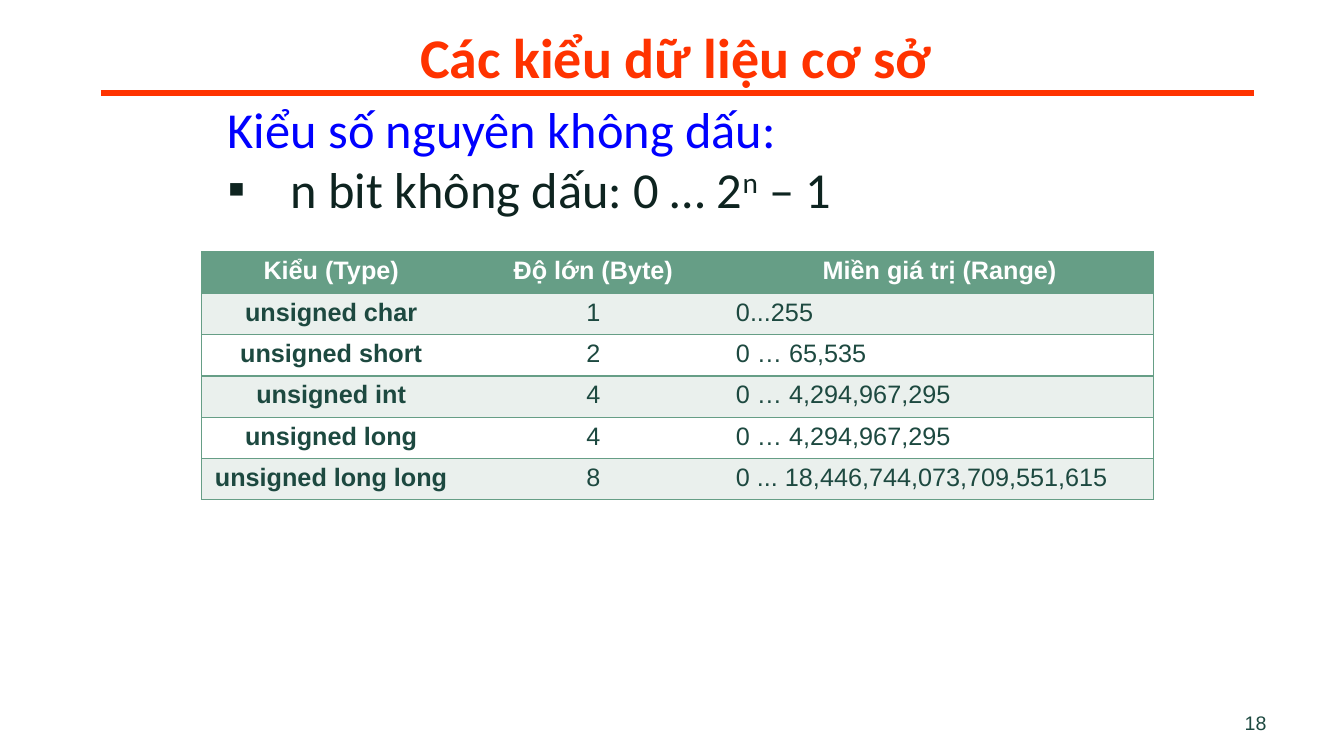
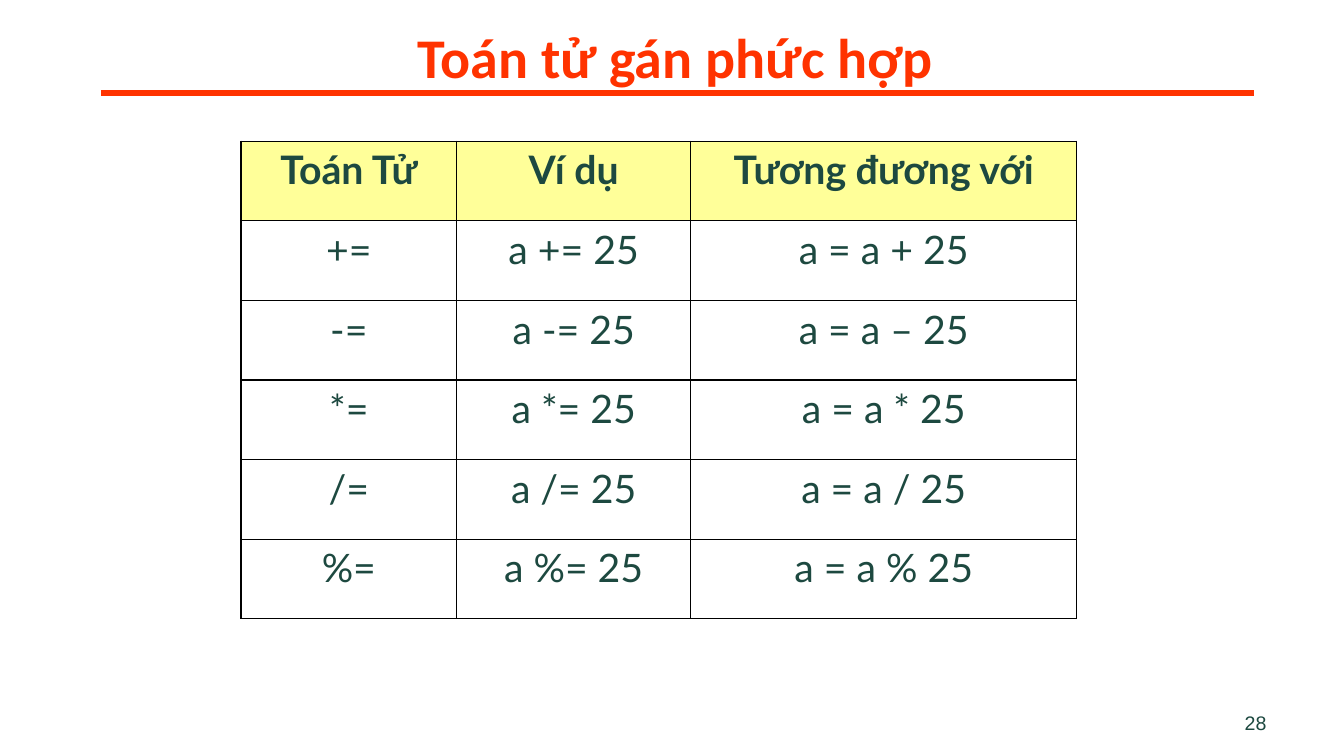
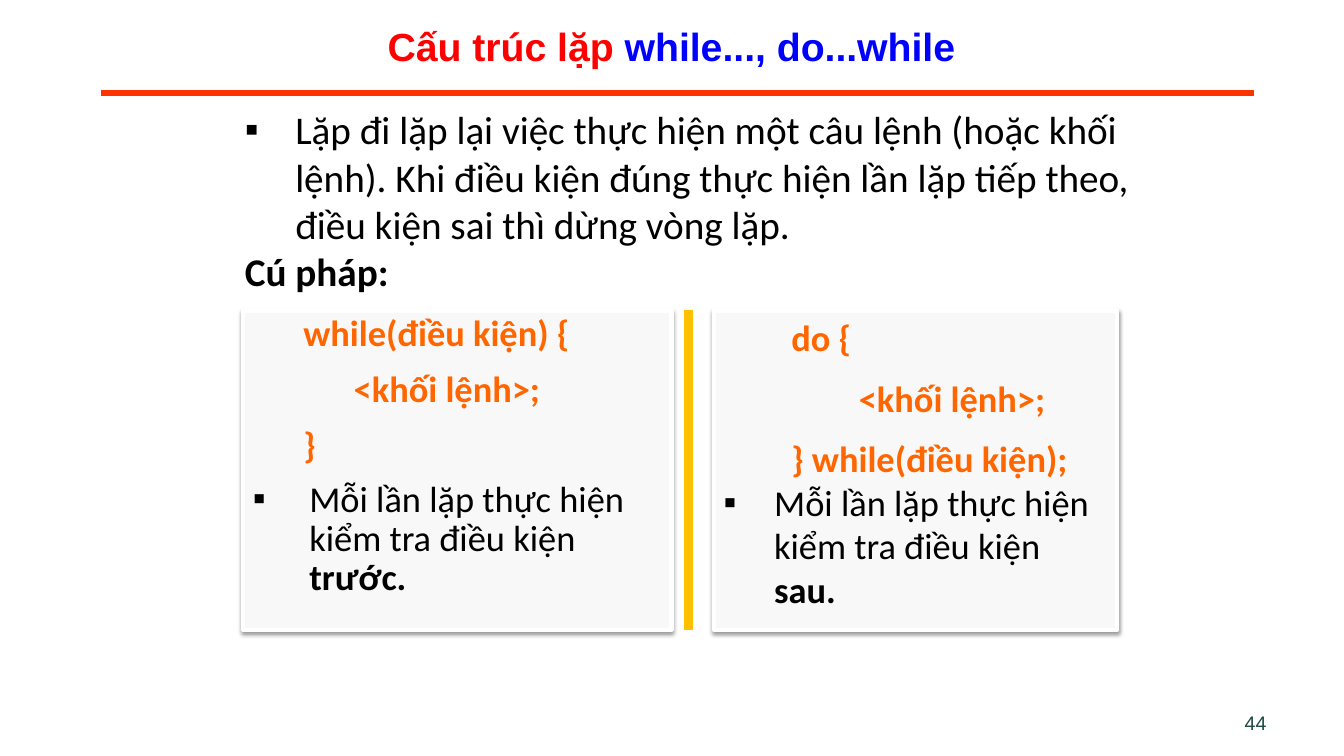
from lxml.etree import SubElement
from pptx import Presentation
from pptx.dml.color import RGBColor
from pptx.enum.shapes import MSO_CONNECTOR, MSO_SHAPE
from pptx.enum.text import MSO_ANCHOR as ANCHOR, PP_ALIGN as ALIGN
from pptx.oxml.ns import qn
from pptx.util import Inches, Pt

W, H = 13.33, 7.5
RULE, TITLE_RED, BLUE = "FF3300", "FF0000", "0000FF"
WHITE, BLACK, INK, DARK = "FFFFFF", "000000", "1D4940", "0E2420"
GREEN, PALE_GREEN, YELLOW = "669E86", "EAF0ED", "FFFF99"
ORANGE, GOLD, PANEL = "FF6600", "FFC000", "F8F8F8"


def rgb(color):
    return RGBColor.from_string(color)


def sub(parent, tag, **attrs):
    return SubElement(parent, qn(tag), {k: str(v) for k, v in attrs.items()})


def inches(box):
    return [Inches(v) for v in box]


def write(p, runs, size, font, align=ALIGN.LEFT, left=0, hang=0, bullet=False,
          spacing=None, before=0):
    """Fill a paragraph with (text, colour, bold[, baseline percent]) runs."""
    p.alignment = align
    p.space_before = Pt(before)
    if spacing:
        p.line_spacing = spacing
    pPr = p._p.get_or_add_pPr()
    pPr.set("marL", str(Inches(left)))
    pPr.set("indent", str(-Inches(hang)))
    if bullet:
        sub(pPr, "a:buFont", typeface="Arial")
        sub(pPr, "a:buChar", char="▪")
    for text, color, bold, *base in runs:
        r = p.add_run()
        r.text = text
        r.font.size, r.font.name, r.font.bold = Pt(size), font, bold
        r.font.color.rgb = rgb(color)
        if base:
            r._r.get_or_add_rPr().set("baseline", str(base[0] * 1000))


def fill_text(s, paragraphs, size, font, anchor=ANCHOR.TOP):
    """Write (runs, paragraph options) pairs into a shape."""
    tf = s.text_frame
    tf.word_wrap = True
    tf.vertical_anchor = anchor
    for i, (runs, options) in enumerate(paragraphs):
        p = tf.add_paragraph() if i else tf.paragraphs[0]
        write(p, runs, size, font, **options)


def add_text(slide, box, paragraphs, size, font, anchor=ANCHOR.TOP):
    s = slide.shapes.add_textbox(*inches(box))
    fill_text(s, paragraphs, size, font, anchor)


def add_line(slide, x1, y1, x2, y2, color, width):
    line = slide.shapes.add_connector(MSO_CONNECTOR.STRAIGHT, *inches((x1, y1, x2, y2)))
    line.line.color.rgb = rgb(color)
    line.line.width = Pt(width)
    sub(line._element.spPr, "a:effectLst")


def add_rect(slide, box, fill):
    s = slide.shapes.add_shape(MSO_SHAPE.RECTANGLE, *inches(box))
    s.shadow.inherit = False
    s.fill.solid()
    s.fill.fore_color.rgb = rgb(fill)
    s.line.fill.background()
    return s


def add_base(prs, number):
    slide = prs.slides.add_slide(prs.slide_layouts[6])
    add_line(slide, 1, 0.92, 12.44, 0.92, RULE, 4.5)
    add_text(slide, (9.55, 7, 3.11, 0.35),
             [([(str(number), INK, False)], {"align": ALIGN.RIGHT})], 14, "Arial")
    return slide


def add_title(slide, title):
    s = add_rect(slide, (2.66, 0.17, 8.08, 0.62), WHITE)
    fill_text(s, [([(title, RULE, True)], {"align": ALIGN.CENTER})], 40, "Calibri")


def set_borders(cell, color, sides):
    """Draw the named sides (of L, R, T, B) and clear the others."""
    tcPr = cell._tc.get_or_add_tcPr()
    for side in "LRTB":
        ln = sub(tcPr, "a:ln" + side, w=Pt(1))
        if side in sides:
            sub(sub(ln, "a:solidFill"), "a:srgbClr", val=color)
        else:
            sub(ln, "a:noFill")


def add_grid(slide, left, top, widths, row_height, rows, style):
    """Add a table; style(row, col) gives fill, colour, bold, align, border sides."""
    size, font, border = style["size"], style["font"], style["border"]
    box = (left, top, sum(widths), row_height * len(rows))
    table = slide.shapes.add_table(len(rows), len(widths), *inches(box)).table
    table.first_row = table.horz_banding = False
    for column, width in zip(table.columns, widths):
        column.width = Inches(width)
    for i, texts in enumerate(rows):
        table.rows[i].height = Inches(row_height)
        for j, text in enumerate(texts):
            fill, color, bold, align, sides = style["cell"](i, j)
            cell = table.cell(i, j)
            set_borders(cell, border, sides)
            cell.fill.solid()
            cell.fill.fore_color.rgb = rgb(fill)
            write(cell.text_frame.paragraphs[0], [(text, color, bold)], size, font, align)


def type_cell(i, j):
    sides = ("LTB", "TB", "RTB")[j]
    if i == 0:
        return GREEN, WHITE, True, ALIGN.CENTER, sides
    align = ALIGN.LEFT if j == 2 else ALIGN.CENTER
    return (PALE_GREEN if i % 2 else WHITE), INK, j == 0, align, sides


def operator_cell(i, j):
    return (WHITE if i else YELLOW), INK, i == 0, ALIGN.CENTER, "LRTB"


def add_loop_panel(slide, box, code, indent, note, hang, spacing, note_gap):
    s = add_rect(slide, box, PANEL)
    s.line.color.rgb = rgb(WHITE)
    s.line.width = Pt(3)
    effects = s._element.spPr.find(qn("a:effectLst"))
    shadow = sub(effects, "a:outerShdw", blurRad=Pt(3.1), dist=Pt(1.6),
                 dir=90 * 60000, algn="t", rotWithShape=0)
    sub(sub(shadow, "a:srgbClr", val=BLACK), "a:alpha", val=38000)
    paragraphs = [([(text, ORANGE, True)],
                   {"align": ALIGN.JUSTIFY, "left": indent * level, "spacing": spacing,
                    "before": 12})
                  for level, text in zip((1, 2, 1), code)]
    paragraphs.append(([("Mỗi lần lặp thực hiện kiểm tra điều kiện ", BLACK, False),
                        (note, BLACK, True)],
                       {"left": hang, "hang": hang, "bullet": True, "spacing": spacing,
                        "before": note_gap}))
    fill_text(s, paragraphs, 26, "Calibri")


def build_types(prs):
    slide = add_base(prs, 18)
    add_title(slide, "Các kiểu dữ liệu cơ sở")
    add_text(slide, (2.16, 0.92, 9.25, 1.92), [
        ([("Kiểu số nguyên không dấu:", BLUE, False)], {}),
        ([("n bit không dấu: 0 … 2", DARK, False), ("n", DARK, False, 30),
          (" – 1", DARK, False)], {"left": 0.62, "hang": 0.62, "bullet": True}),
    ], 36, "Calibri")
    rows = [
        ("Kiểu (Type)", "Độ lớn (Byte)", "Miền giá trị (Range)"),
        ("unsigned char", "1", "0...255"),
        ("unsigned short", "2", "0 … 65,535"),
        ("unsigned int", "4", "0 … 4,294,967,295"),
        ("unsigned long", "4", "0 … 4,294,967,295"),
        ("unsigned long long", "8", "0 ... 18,446,744,073,709,551,615"),
    ]
    add_grid(slide, 2, 2.5, (2.57, 2.63, 4.24), 0.41, rows,
             {"size": 18, "font": "Arial", "border": GREEN, "cell": type_cell})


def build_operators(prs):
    slide = add_base(prs, 28)
    add_title(slide, "Toán tử gán phức hợp")
    rows = [("Toán Tử", "Ví dụ", "Tương đương với")]
    rows += [(f"{op}=", f"a {op}= 25", f"a = a {sign} 25")
             for op, sign in zip("+-*/%", "+–*/%")]
    add_grid(slide, 2.39, 1.4, (2.14, 2.32, 3.83), 0.79, rows,
             {"size": 28, "font": "Lato", "border": BLACK, "cell": operator_cell})


def build_loops(prs):
    slide = add_base(prs, 44)
    add_text(slide, (2.16, 0, 9, 0.91), [
        ([("Cấu trúc lặp ", TITLE_RED, True), ("while..., do...while", BLUE, True)],
         {"align": ALIGN.CENTER})], 28, "Arial", ANCHOR.MIDDLE)
    top, height = 3.08, 3.17
    add_loop_panel(slide, (2.41, top, 4.25, height),
                   ("while(điều kiện) {", "<khối lệnh>;", "}"),
                   0.5, "trước.", 0.56, 0.9, 10)
    add_loop_panel(slide, (7.08, top, 4, height),
                   ("do {", "<khối lệnh>;", "} while(điều kiện);"),
                   0.67, "sau.", 0.5, None, 0)
    add_text(slide, (2.33, 1, 9.08, 1.99), [
        ([("Lặp đi lặp lại việc thực hiện một câu lệnh (hoặc khối lệnh). Khi điều kiện "
           "đúng thực hiện lần lặp tiếp theo, điều kiện sai thì dừng vòng lặp.",
           BLACK, False)], {"left": 0.5, "hang": 0.5, "bullet": True}),
        ([("Cú pháp:", BLACK, True)], {}),
    ], 28, "Calibri")
    add_line(slide, 6.83, top, 6.83, top + height, GOLD, 6)


def main():
    prs = Presentation()
    prs.slide_width, prs.slide_height = Inches(W), Inches(H)
    for build in (build_types, build_operators, build_loops):
        build(prs)
    prs.save("out.pptx")


if __name__ == "__main__":
    main()
